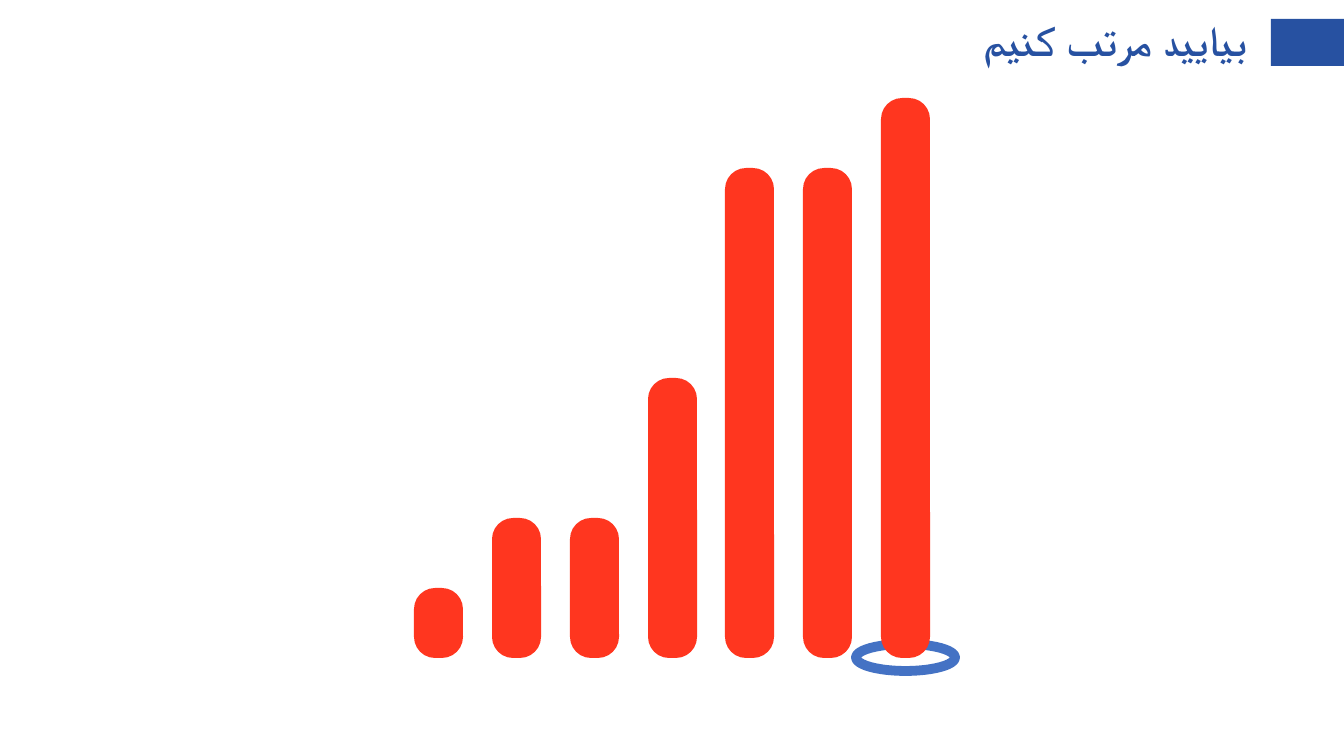
from dataclasses import dataclass

from lxml import etree
from pptx import Presentation
from pptx.dml.color import RGBColor
from pptx.enum.shapes import MSO_SHAPE
from pptx.enum.text import MSO_ANCHOR, PP_ALIGN
from pptx.oxml.ns import qn
from pptx.shapes.autoshape import Shape
from pptx.slide import Slide
from pptx.util import Emu, Pt

RECTANGLE = MSO_SHAPE.RECTANGLE
OVAL = MSO_SHAPE.OVAL
ROUNDED = MSO_SHAPE.ROUNDED_RECTANGLE
MIDDLE = MSO_ANCHOR.MIDDLE
RIGHT = PP_ALIGN.RIGHT

SLIDE_WIDTH, SLIDE_HEIGHT = 1344, 756
EMU_PER_PX = 12192000 / SLIDE_WIDTH

TITLE_BLUE = "2751A1"
RING_BLUE = "4472C4"
BAR_RED = "FF361F"
WHITE = "FFFFFF"

BAR_VALUES = (1, 2, 2, 4, 7, 7, 8)
BAR_UNIT = 70
BAR_WIDTH = 49
BAR_BOTTOM = 658
FIRST_BAR_LEFT, LAST_BAR_LEFT = 414, 881
BAR_ROUNDING = 0.43


@dataclass(frozen=True)
class Box:
    left: int
    top: int
    width: int
    height: int

    def emu(self) -> tuple[Emu, Emu, Emu, Emu]:
        return px(self.left), px(self.top), px(self.width), px(self.height)


TITLE_TAG = Box(1271, 19, 73, 47)
TITLE_BOX = Box(93, 5, 1159, 76)
RING = Box(856, 644, 99, 27)


def px(length: int) -> Emu:
    return Emu(round(length * EMU_PER_PX))


def color(value: str) -> RGBColor:
    return RGBColor.from_string(value)


def add_figure(slide: Slide, kind: MSO_SHAPE, box: Box, fill: str,
               line: str | None = None, line_width: int = 0) -> Shape:
    shape = slide.shapes.add_shape(kind, *box.emu())
    shape.shadow.inherit = False
    shape.fill.solid()
    shape.fill.fore_color.rgb = color(fill)
    if line is None:
        shape.line.fill.background()
    else:
        shape.line.color.rgb = color(line)
        shape.line.width = Pt(line_width)
    return shape


def add_rtl_text(slide: Slide, box: Box, text: str, *, font: str, size: int,
                 fill: str, bold: bool, space_before: int, line_spacing: float) -> None:
    frame = slide.shapes.add_textbox(*box.emu()).text_frame
    frame.word_wrap = True
    frame.vertical_anchor = MIDDLE
    frame.margin_left = frame.margin_right = px(5)
    frame.margin_top = frame.margin_bottom = px(5)
    paragraph = frame.paragraphs[0]
    paragraph.alignment = RIGHT
    paragraph.space_before = Pt(space_before)
    paragraph.line_spacing = line_spacing
    paragraph._p.get_or_add_pPr().set("rtl", "1")
    run = paragraph.add_run()
    run.text = text
    run.font.name = font
    run.font.size = Pt(size)
    run.font.bold = bold
    run.font.color.rgb = color(fill)
    complex_font = etree.SubElement(run._r.get_or_add_rPr(), qn("a:cs"))
    complex_font.set("typeface", font)


def add_bars(slide: Slide) -> None:
    pitch = (LAST_BAR_LEFT - FIRST_BAR_LEFT) / (len(BAR_VALUES) - 1)
    for index, value in enumerate(BAR_VALUES):
        height = value * BAR_UNIT
        left = round(FIRST_BAR_LEFT + index * pitch)
        box = Box(left, BAR_BOTTOM - height, BAR_WIDTH, height)
        bar = add_figure(slide, ROUNDED, box, BAR_RED)
        bar.adjustments[0] = BAR_ROUNDING


def main() -> None:
    presentation = Presentation()
    presentation.slide_width = px(SLIDE_WIDTH)
    presentation.slide_height = px(SLIDE_HEIGHT)
    slide = presentation.slides.add_slide(presentation.slide_layouts[6])
    add_figure(slide, RECTANGLE, TITLE_TAG, TITLE_BLUE)
    add_figure(slide, OVAL, RING, WHITE, line=RING_BLUE, line_width=7)
    add_rtl_text(slide, TITLE_BOX, "بیایید مرتب کنیم", font="Arial", size=30,
                 fill=TITLE_BLUE, bold=True, space_before=9, line_spacing=0.9)
    add_bars(slide)
    presentation.save("out.pptx")


if __name__ == "__main__":
    main()
